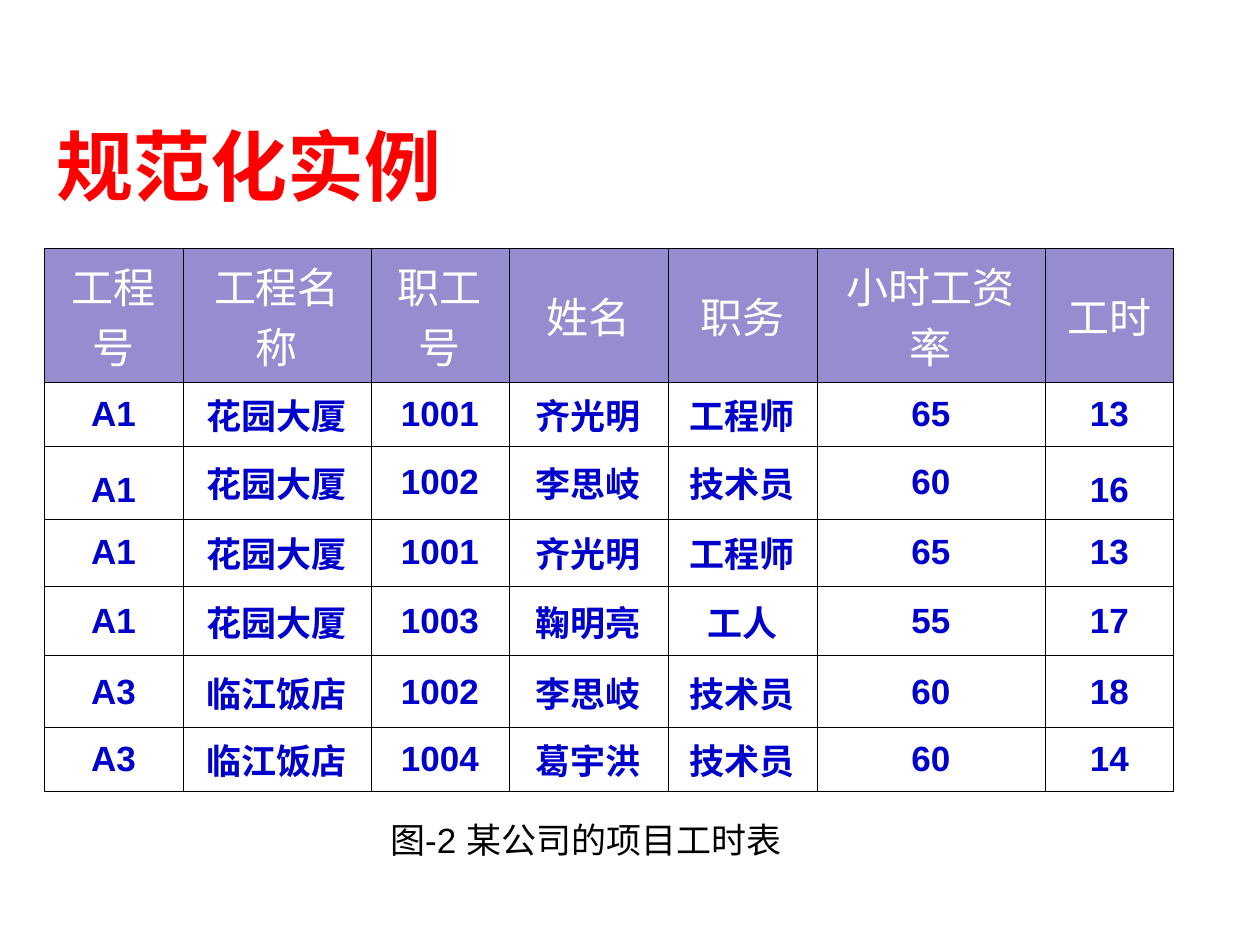
from lxml import etree
from pptx import Presentation
from pptx import util as u
from pptx.dml.color import RGBColor
from pptx.enum import text
from pptx.oxml.ns import qn

PX = 914400 // 126
COLORS = {"title": "FF0000", "header": "FFFFFF", "header_fill": "958DCF",
          "body": "0000CC", "grid": "000000", "caption": "000000"}
CJK = "Noto Sans CJK SC"
COLUMN_WIDTHS = [139, 188, 138, 159, 149, 228, 129]
ROW_HEIGHTS = [113, 63, 73, 67, 70, 72, 63]
HEADERS = ["工程号", "工程名称", "职工号", "姓名", "职务", "小时工资率", "工时"]
TIMESHEET = [
    ["A1", "花园大厦", "1001", "齐光明", "工程师", "65", "13"],
    ["A1", "花园大厦", "1002", "李思岐", "技术员", "60", "16"],
    ["A1", "花园大厦", "1001", "齐光明", "工程师", "65", "13"],
    ["A1", "花园大厦", "1003", "鞠明亮", "工人", "55", "17"],
    ["A3", "临江饭店", "1002", "李思岐", "技术员", "60", "18"],
    ["A3", "临江饭店", "1004", "葛宇洪", "技术员", "60", "14"],
]
LOOSE_CELLS = {(2, 0), (2, 6)}


def write(frame, wording, size, color, font="Arial", bold=False,
          align=text.PP_ALIGN.CENTER, spacing=None):
    """Fill a text frame with one formatted paragraph."""
    paragraph = frame.paragraphs[0]
    paragraph.alignment = align
    paragraph.line_spacing = spacing
    run = paragraph.add_run()
    run.text = wording
    run.font.size = u.Pt(size)
    run.font.bold = bold
    run.font.color.rgb = RGBColor.from_string(COLORS[color])
    run.font.name = font
    etree.SubElement(run.font._element, qn("a:ea"), typeface=CJK)


def border(cell):
    """Draw a thin line on all four sides of a table cell."""
    properties = cell._tc.get_or_add_tcPr()
    for side in ("lnL", "lnR", "lnT", "lnB"):
        line = etree.SubElement(properties, qn(f"a:{side}"), w=str(u.Pt(0.45)))
        fill = etree.SubElement(line, qn("a:solidFill"))
        etree.SubElement(fill, qn("a:srgbClr"), val=COLORS["grid"])


def add_title(slide, left, top, width, height):
    """Place the slide title in its placeholder."""
    title = slide.shapes.title
    title.left, title.top = left * PX, top * PX
    title.width, title.height = width * PX, height * PX
    title.text_frame.vertical_anchor = text.MSO_ANCHOR.MIDDLE
    write(title.text_frame, "规范化实例", 44, "title", bold=True,
          align=text.PP_ALIGN.LEFT)


def add_timesheet(slide, left, top):
    """Place the table of project hours."""
    rows = [HEADERS] + TIMESHEET
    table = slide.shapes.add_table(
        len(rows), len(HEADERS), left * PX, top * PX,
        sum(COLUMN_WIDTHS) * PX, sum(ROW_HEIGHTS) * PX).table
    table.first_row = table.horz_banding = False
    for column, width in zip(table.columns, COLUMN_WIDTHS):
        column.width = width * PX
    for r, (entries, height) in enumerate(zip(rows, ROW_HEIGHTS)):
        table.rows[r].height = height * PX
        for c, entry in enumerate(entries):
            cell = table.cell(r, c)
            cell.vertical_anchor = text.MSO_ANCHOR.MIDDLE
            border(cell)
            if r == 0:
                cell.fill.solid()
                cell.fill.fore_color.rgb = RGBColor.from_string(COLORS["header_fill"])
                write(cell.text_frame, entry, 24, "header", font=CJK)
            else:
                cell.fill.background()
                write(cell.text_frame, entry, 20, "body", bold=True,
                      spacing=1.4 if (r, c) in LOOSE_CELLS else None)


def add_caption(slide, left, top, width, height):
    """Place the caption below the table."""
    caption = slide.shapes.add_textbox(left * PX, top * PX, width * PX, height * PX)
    caption.text_frame.word_wrap = True
    caption.text_frame.auto_size = text.MSO_AUTO_SIZE.SHAPE_TO_FIT_TEXT
    write(caption.text_frame, "图-2 某公司的项目工时表", 20, "caption", spacing=0.8)


def main():
    """Build the slide and save it."""
    deck = Presentation()
    deck.slide_width, deck.slide_height = u.Inches(10), u.Inches(7.5)
    slide = deck.slides.add_slide(deck.slide_layouts[5])
    add_title(slide, 44, 105, 1134, 120)
    add_timesheet(slide, 44, 248)
    add_caption(slide, 353, 820, 466, 47)
    deck.save("out.pptx")


if __name__ == "__main__":
    main()
